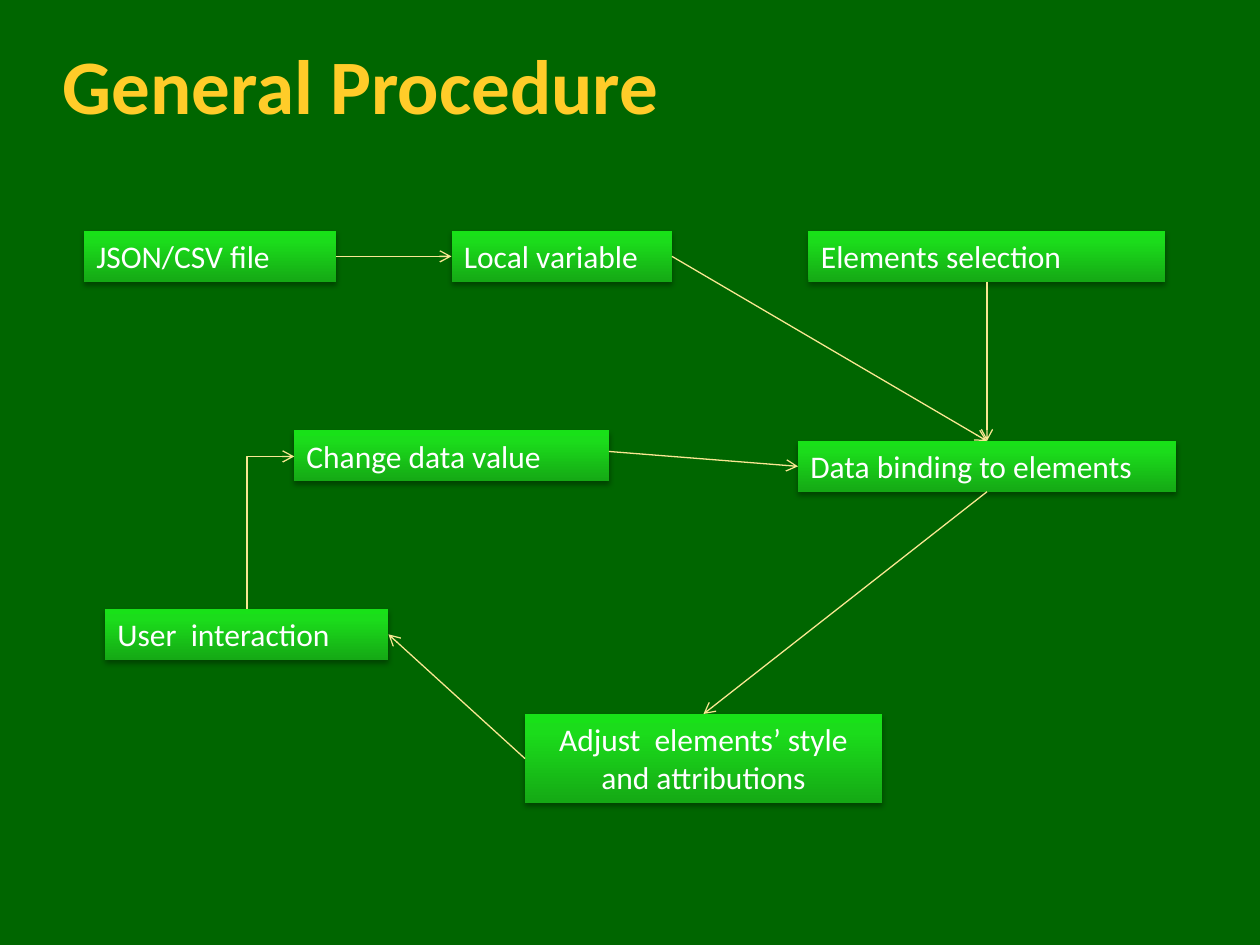
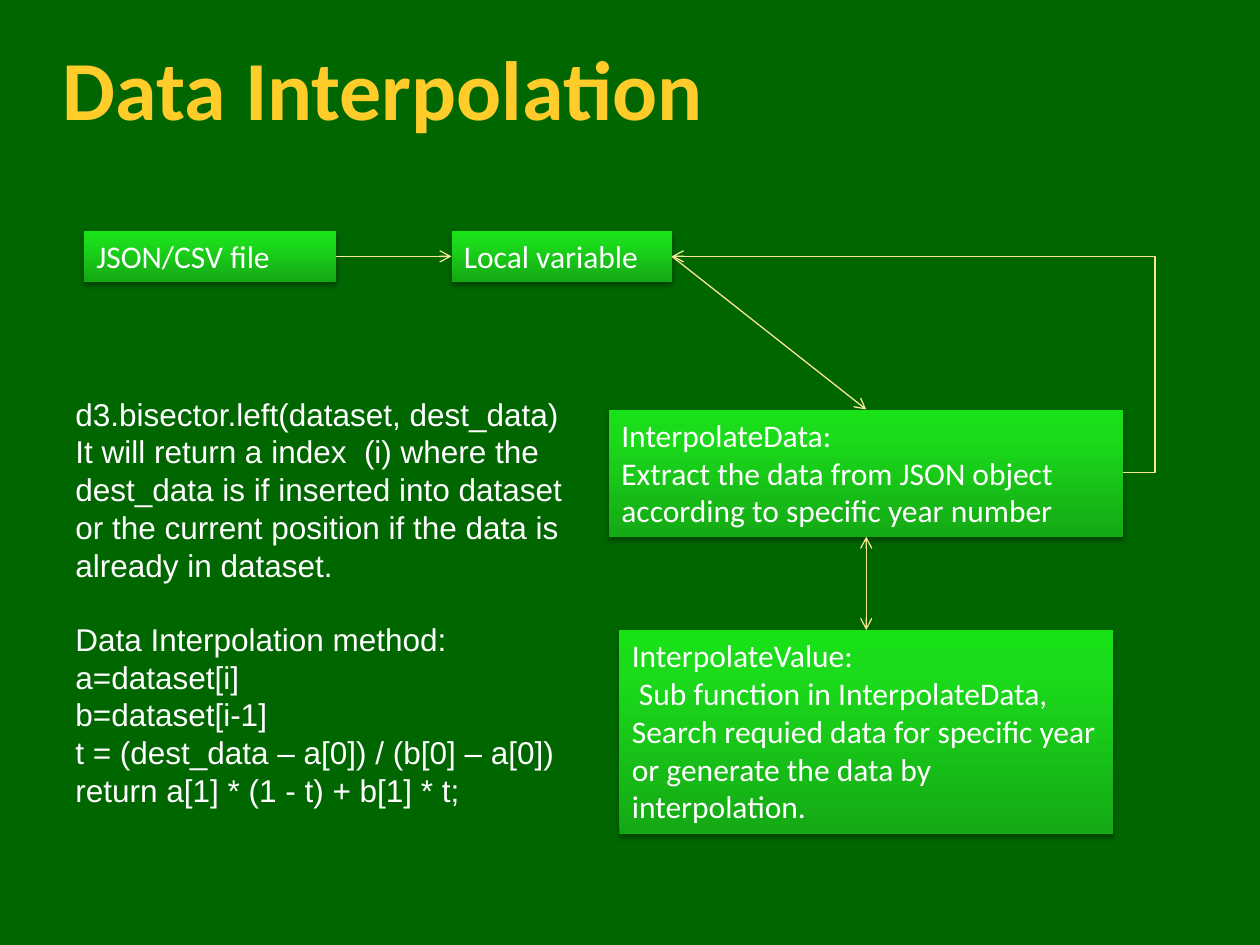
from copy import deepcopy

from lxml.etree import SubElement
from pptx import Presentation
from pptx.dml.color import RGBColor
from pptx.enum.shapes import MSO_CONNECTOR, MSO_SHAPE
from pptx.enum.text import MSO_ANCHOR, MSO_AUTO_SIZE, PP_ALIGN
from pptx.oxml.ns import qn
from pptx.util import Pt

DARK_GREEN = RGBColor(0x00, 0x66, 0x00)
GOLD = RGBColor(0xFF, 0xCC, 0x29)
WHITE = RGBColor(0xFF, 0xFF, 0xFF)
PALE_YELLOW = RGBColor(0xF9, 0xE7, 0x92)
STEP_GRADIENT = [
    (0, RGBColor(0x15, 0xA9, 0x15)),
    (0.8, RGBColor(0x1B, 0xDC, 0x1B)),
    (1, RGBColor(0x18, 0xE1, 0x18)),
]
TOP, LEFT, BOTTOM, RIGHT = range(4)
ROW_HEIGHT = 29


def write(shape, text, *, size=18, font="Calibri", color=WHITE, bold=False,
          align=PP_ALIGN.LEFT, line_spacing=1.0, gap_before=None):
    frame = shape.text_frame
    frame.word_wrap = True
    frame.auto_size = MSO_AUTO_SIZE.SHAPE_TO_FIT_TEXT
    frame.vertical_anchor = MSO_ANCHOR.TOP
    frame.text = text
    for paragraph in frame.paragraphs:
        paragraph.alignment = align
        paragraph.line_spacing = line_spacing
        if paragraph.text == gap_before:
            paragraph.space_before = Pt(20.7)
        for run in paragraph.runs:
            run.font.size = Pt(size)
            run.font.name = font
            run.font.bold = bold
            run.font.color.rgb = color


def draw_arrow(slide, kind, start, end, both_ways=False):
    arrow = slide.shapes.add_connector(kind, *(Pt(v) for v in (*start, *end)))
    arrow.line.color.rgb = PALE_YELLOW
    arrow.line.width = Pt(0.75)
    stroke = arrow.line._get_or_add_ln()
    if both_ways:
        SubElement(stroke, qn("a:headEnd"), type="arrow")
    SubElement(stroke, qn("a:tailEnd"), type="arrow")
    SubElement(arrow._element.spPr, qn("a:effectLst"))
    return arrow


loading_steps = {
    "JSON/CSV file": (48, 132, 144, ROW_HEIGHT),
    "Local variable": (258, 132, 126, ROW_HEIGHT),
}
loading_flow = ("JSON/CSV file", RIGHT, "Local variable", LEFT, False)

binding = "Data binding to elements"
adjusting = "Adjust  elements’ style and attributions"
interaction = "User  interaction"
procedure_steps = loading_steps | {
    binding: (456, 252, 216, ROW_HEIGHT),
    adjusting: (300, 408, 204, 51),
    "Elements selection": (462, 132, 204, ROW_HEIGHT),
    interaction: (60, 348, 162, ROW_HEIGHT),
    "Change data value": (168, 246, 180, ROW_HEIGHT),
}
procedure_flows = [
    loading_flow,
    ("Local variable", RIGHT, binding, TOP, False),
    (binding, BOTTOM, adjusting, TOP, False),
    ("Elements selection", BOTTOM, binding, TOP, False),
    (adjusting, LEFT, interaction, RIGHT, False),
]

interpolate_data = (
    "InterpolateData:\n"
    "Extract the data from JSON object according to specific year number"
)
interpolate_value = (
    "InterpolateValue:\n"
    " Sub function in InterpolateData,\n"
    "Search requied data for specific year or generate the data by interpolation."
)
interpolation_steps = loading_steps | {
    interpolate_data: (348, 234, 294, 72.7),
    interpolate_value: (354, 360, 282, 116.6),
}
interpolation_flows = [
    loading_flow,
    ("Local variable", RIGHT, interpolate_data, TOP, False),
    (interpolate_value, TOP, interpolate_data, BOTTOM, True),
]

deck = Presentation()
deck.slide_width, deck.slide_height = Pt(720), Pt(540)
slides = []

for heading, heading_size, steps, flows in [
    ("General Procedure", 44, procedure_steps, procedure_flows),
    ("Data Interpolation", 48, interpolation_steps, interpolation_flows),
]:
    slide = deck.slides.add_slide(deck.slide_layouts[6])
    slides.append(slide)
    slide.background.fill.solid()
    slide.background.fill.fore_color.rgb = DARK_GREEN
    title = slide.shapes.add_textbox(Pt(28.8), Pt(24), Pt(661), Pt(heading_size * 1.25))
    write(title, heading, size=heading_size, color=GOLD, bold=True, line_spacing=0.9)

    boxes = {}
    for label, bounds in steps.items():
        box = slide.shapes.add_shape(MSO_SHAPE.RECTANGLE, *(Pt(v) for v in bounds))
        boxes[label] = box
        box.line.fill.background()
        box.fill.gradient()
        box.fill.gradient_angle = 90
        stops = box._element.spPr.find(".//" + qn("a:gsLst"))
        stops.append(deepcopy(stops[0]))
        for stop, (position, color) in zip(box.fill.gradient_stops, STEP_GRADIENT):
            stop.position = position
            stop.color.rgb = color
        box.shadow.inherit = False
        effects = box._element.spPr.find(qn("a:effectLst"))
        shadow = SubElement(effects, qn("a:outerShdw"), blurRad=str(Pt(3.1)),
                            dist=str(Pt(1.8)), dir="5400000", rotWithShape="0")
        shade = SubElement(shadow, qn("a:srgbClr"), val="000000")
        SubElement(shade, qn("a:alpha"), val="35000")
        write(box, label, align=PP_ALIGN.CENTER if label == adjusting else PP_ALIGN.LEFT)

    for source, source_side, target, target_side, both_ways in flows:
        arrow = draw_arrow(slide, MSO_CONNECTOR.STRAIGHT, (0, 0), (0, 0), both_ways)
        arrow.begin_connect(boxes[source], source_side)
        arrow.end_connect(boxes[target], target_side)

    if heading == "General Procedure":
        change_to_binding = draw_arrow(slide, MSO_CONNECTOR.STRAIGHT, (348, 258), (456, 266.5))
        change_to_binding.end_connect(boxes[binding], LEFT)

procedure_slide, interpolation_slide = slides

interaction_to_change = draw_arrow(
    procedure_slide, MSO_CONNECTOR.ELBOW, (198.25, 318), (111, 291))
interaction_to_change._element.spPr.find(qn("a:xfrm")).set("rot", "5400000")
interaction_to_change._element.spPr.find(qn("a:prstGeom")).set("prst", "bentConnector2")

data_to_variable = draw_arrow(
    interpolation_slide, MSO_CONNECTOR.ELBOW, (642, 270), (384, 146.5))
bend = data_to_variable._element.spPr.find(qn("a:prstGeom")).find(qn("a:avLst"))
SubElement(bend, qn("a:gd"), name="adj1", fmla="val -7000")

method = interpolation_slide.shapes.add_textbox(Pt(36), Pt(222), Pt(300), Pt(247))
write(
    method,
    "d3.bisector.left(dataset, dest_data)\n"
    "It will return a index  (i) where the dest_data is if inserted into dataset "
    "or the current position if the data is already in dataset.\n"
    "Data Interpolation method:\n"
    "a=dataset[i]\n"
    "b=dataset[i-1]\n"
    "t = (dest_data – a[0]) / (b[0] – a[0])\n"
    "return a[1] * (1 - t) + b[1] * t;",
    font="Arial",
    gap_before="Data Interpolation method:",
)

deck.save("out.pptx")
